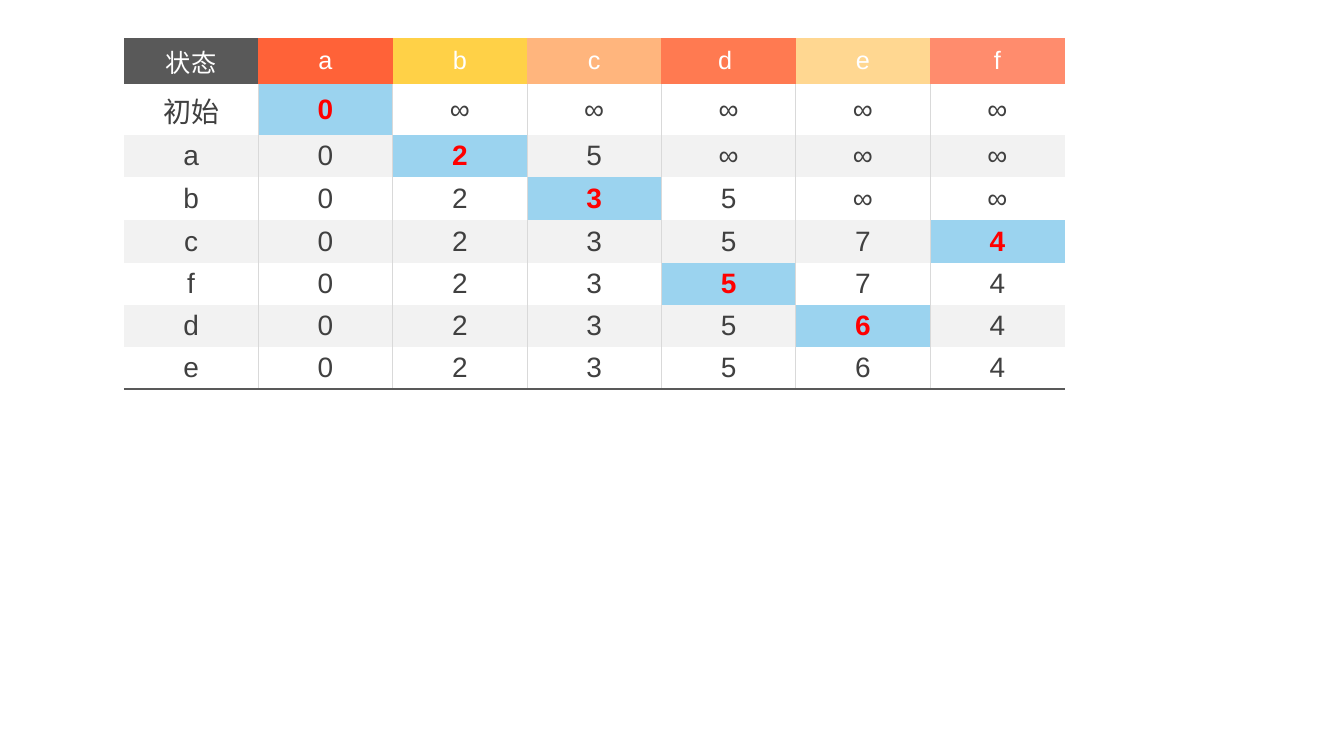
from lxml.etree import SubElement
from pptx import Presentation
from pptx.dml.color import RGBColor
from pptx.enum.text import MSO_ANCHOR as ANCHOR, PP_ALIGN as ALIGN
from pptx.oxml.ns import qn
from pptx.util import Pt

PX = 9525
FONT = "Arial"
NO_STYLE = "{2D5ABB26-0587-4C30-8999-92F81FD0307C}"

WHITE = RGBColor(0xFF, 0xFF, 0xFF)
BAND = RGBColor(0xF2, 0xF2, 0xF2)
DARK = RGBColor(0x59, 0x59, 0x59)
INK = RGBColor(0x40, 0x40, 0x40)
RED = RGBColor(0xFF, 0x00, 0x00)
BLUE = RGBColor(0x9B, 0xD3, 0xEF)
GRID = RGBColor(0xD9, 0xD9, 0xD9)
HEADER_FILLS = [
    DARK,
    RGBColor(0xFF, 0x62, 0x38),
    RGBColor(0xFF, 0xD1, 0x47),
    RGBColor(0xFF, 0xB5, 0x7D),
    RGBColor(0xFF, 0x7A, 0x51),
    RGBColor(0xFF, 0xD7, 0x91),
    RGBColor(0xFF, 0x8C, 0x6D),
]

HEADER = ["状态", "a", "b", "c", "d ", "e", "f"]
STEPS = [
    ["初始", "0", "∞", "∞", "∞", "∞", "∞"],
    ["a", "0", "2", "5", "∞", "∞", "∞"],
    ["b", "0", "2", "3", "5", "∞", "∞"],
    ["c", "0", "2", "3", "5", "7", "4"],
    ["f", "0", "2", "3", "5", "7", "4"],
    ["d", "0", "2", "3", "5", "6", "4"],
    ["e", "0", "2", "3", "5", "6", "4"],
]
CHOSEN = {(1, 1), (2, 2), (3, 3), (4, 6), (5, 4), (6, 5)}
ROW_HEIGHTS = [40, 40, 40, 41, 41, 40, 40, 40]


def add_border(cell, side, color, width):
    ln = SubElement(cell._tc.get_or_add_tcPr(), qn(f"a:ln{side}"), w=str(Pt(width)))
    fill = SubElement(ln, qn("a:solidFill"))
    SubElement(fill, qn("a:srgbClr"), val=str(color))


def format_cell(cell, text, size, color, fill, bold=False):
    cell.vertical_anchor = ANCHOR.MIDDLE
    cell.fill.solid()
    cell.fill.fore_color.rgb = fill
    p = cell.text_frame.paragraphs[0]
    p.alignment = ALIGN.CENTER
    r = p.add_run()
    r.text = text
    r.font.name = FONT
    r.font.size = Pt(size)
    r.font.bold = bold
    r.font.color.rgb = color


def add_distance_table(slide, left, top, width):
    n_rows, n_cols = len(STEPS) + 1, len(HEADER)
    frame = slide.shapes.add_table(n_rows, n_cols, left * PX, top * PX,
                                   width * PX, sum(ROW_HEIGHTS) * PX)
    table = frame.table
    table.first_row = table.horz_banding = False
    table._tbl.tblPr.find(qn("a:tableStyleId")).text = NO_STYLE
    for row, height in zip(table.rows, ROW_HEIGHTS):
        row.height = height * PX
    for col in table.columns:
        col.width = width * PX // n_cols

    for j, (text, fill) in enumerate(zip(HEADER, HEADER_FILLS)):
        format_cell(table.cell(0, j), text, 18, WHITE, fill)

    for i, step in enumerate(STEPS, 1):
        for j, text in enumerate(step):
            cell = table.cell(i, j)
            if j > 0:
                add_border(cell, "L", GRID, 1 if j == 1 else 0.5)
            if j < n_cols - 1:
                add_border(cell, "R", GRID, 1 if j == 0 else 0.5)
            if i == n_rows - 1:
                add_border(cell, "B", DARK, 1.5)
            chosen = (i, j) in CHOSEN
            band = WHITE if i % 2 else BAND
            format_cell(cell, text, 20, RED if chosen else INK,
                        BLUE if chosen else band, chosen)


def main():
    prs = Presentation()
    prs.slide_width, prs.slide_height = 1280 * PX, 720 * PX
    slide = prs.slides.add_slide(prs.slide_layouts[6])
    add_distance_table(slide, 118, 36, 896)
    prs.save("out.pptx")


if __name__ == "__main__":
    main()
